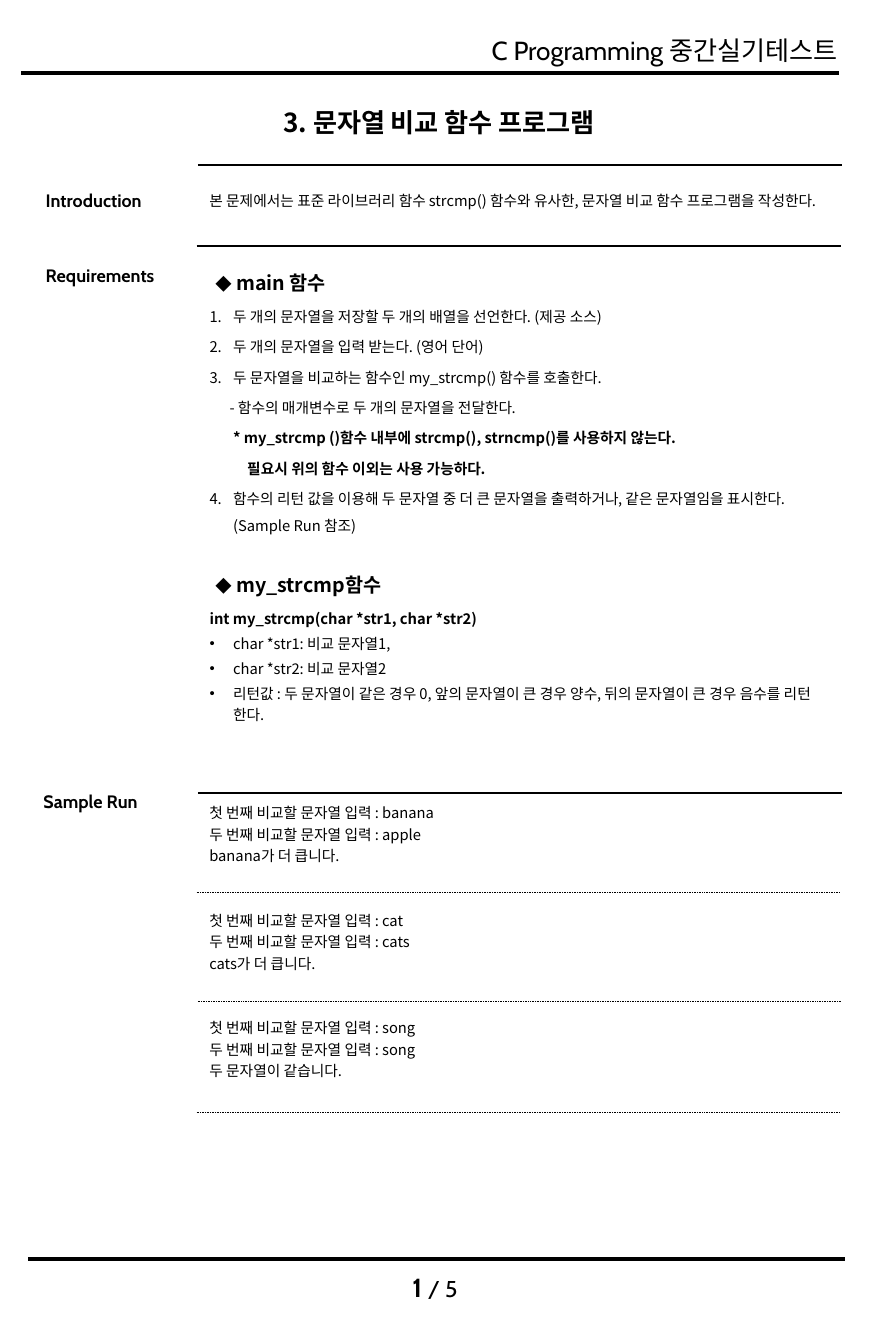
from dataclasses import dataclass

from lxml import etree
from pptx import Presentation
from pptx.dml.color import RGBColor
from pptx.enum.dml import MSO_LINE
from pptx.enum.shapes import MSO_CONNECTOR
from pptx.enum.text import MSO_ANCHOR, MSO_AUTO_SIZE, PP_ALIGN
from pptx.oxml.ns import qn
from pptx.util import Inches, Pt

LEFT, RIGHT = PP_ALIGN.LEFT, PP_ALIGN.RIGHT
CENTER, JUSTIFY = PP_ALIGN.CENTER, PP_ALIGN.JUSTIFY
STRAIGHT = MSO_CONNECTOR.STRAIGHT
SOLID, DOTTED = MSO_LINE.SOLID, MSO_LINE.ROUND_DOT


@dataclass(frozen=True)
class Theme:
    ink: RGBColor = RGBColor(0, 0, 0)
    latin: str = "Cabin"
    korean: str = "Noto Sans CJK KR"
    title: int = 16
    total: int = 14
    heading: int = 12
    label: int = 11
    diamond: int = 10
    body: int = 9
    line_height: float = 1.215


THEME = Theme()


def write(shape, place, font, paragraphs):
    """Fill a shape with (style, spans) pairs; a span is (text, size, bold)."""
    shape.left, shape.top, shape.width, shape.height = map(Inches, place)
    frame = shape.text_frame
    frame_format = {
        "word_wrap": True, "auto_size": MSO_AUTO_SIZE.NONE, "vertical_anchor": MSO_ANCHOR.TOP,
        "margin_left": Inches(0.1), "margin_right": Inches(0.1),
        "margin_top": Inches(0.05), "margin_bottom": Inches(0.05),
    }
    for name, value in frame_format.items():
        setattr(frame, name, value)
    for index, (style, spans) in enumerate(paragraphs):
        para = frame.add_paragraph() if index else frame.paragraphs[0]
        size = max(span[1] for span in spans)
        para_format = {
            "alignment": style.get("align", LEFT),
            "line_spacing": Pt(size * THEME.line_height * style.get("leading", 1)),
            "space_before": Pt(style.get("before", 0)),
            "space_after": Pt(0),
        }
        for name, value in para_format.items():
            setattr(para, name, value)

        # Indents and list marks
        properties = para._p.get_or_add_pPr()
        properties.set("marL", str(Inches(style.get("left", 0))))
        properties.set("indent", str(Inches(style.get("first", 0))))
        mark, values = style.get("mark", ("buNone", {}))
        etree.SubElement(properties, qn("a:" + mark), values)

        for text, points, bold in spans:
            span = para.add_run()
            span.text = text
            span_format = {"name": font, "size": Pt(points), "bold": bold}
            for name, value in span_format.items():
                setattr(span.font, name, value)
            span.font.color.rgb = THEME.ink
            etree.SubElement(span._r.get_or_add_rPr(), qn("a:ea"), typeface=THEME.korean)


deck = Presentation()
deck.slide_width, deck.slide_height = Inches(7.5), Inches(11.42)
page = deck.slides.add_slide(deck.slide_layouts[1])
title, body = page.placeholders

# Rules: left, top, length, weight, dash
rules = [
    (0.18, 0.62, 6.95, 2.25, SOLID),
    (0.24, 10.7, 6.94, 2.25, SOLID),
    (1.68, 1.4, 5.47, 1.5, SOLID),
    (1.67, 2.09, 5.47, 1, SOLID),
    (1.68, 6.74, 5.47, 1, SOLID),
    (1.67, 7.58, 5.47, 0.5, DOTTED),
    (1.68, 8.51, 5.47, 0.5, DOTTED),
    (1.67, 9.45, 5.47, 0.5, DOTTED),
]
for left, top, length, weight, dash in rules:
    rule = page.shapes.add_connector(
        STRAIGHT, Inches(left), Inches(top), Inches(left + length), Inches(top))
    rule.line.color.rgb = THEME.ink
    rule.line.width = Pt(weight)
    rule.line.dash_style = dash
    etree.SubElement(rule._element.spPr, qn("a:effectLst"))

# Title
write(title, (0.31, 0.85, 6.84, 0.37), THEME.korean,
      [({"align": CENTER}, [("3. 문자열 비교 함수 프로그램", THEME.title, True)])])

# Requirements
number = ("buAutoNum", {"type": "arabicPeriod"})
number_four = ("buAutoNum", {"type": "arabicPeriod", "startAt": "4"})
bullet = ("buChar", {"char": "•"})
step = {"leading": 1.5, "before": 2.2}
hanging = {"left": 0.2, "first": -0.2}
numbered = {**step, **hanging, "mark": number}
bulleted = {**hanging, "leading": 1.2, "before": 2.2, "mark": bullet}
heading = {"leading": 1.5, "left": 0.05}
diamond = ("◆", THEME.diamond, True)
requirements = [
    (heading, [diamond, (" main 함수", THEME.heading, True)]),
    (numbered, [("두 개의 문자열을 저장할 두 개의 배열을 선언한다. (제공 소스)", THEME.body, False)]),
    (numbered, [("두 개의 문자열을 입력 받는다. (영어 단어)", THEME.body, False)]),
    (numbered, [("두 문자열을 비교하는 함수인 my_strcmp() 함수를 호출한다.", THEME.body, False)]),
    ({**step, "left": 0.17}, [("- 함수의 매개변수로 두 개의 문자열을 전달한다.", THEME.body, False)]),
    ({**step, "left": 0.2},
     [("* my_strcmp ()함수 내부에 strcmp(), strncmp()를 사용하지 않는다.", THEME.body, True)]),
    ({**step, "left": 0.32}, [("필요시 위의 함수 이외는 사용 가능하다.", THEME.body, True)]),
    ({**numbered, "mark": number_four},
     [("함수의 리턴 값을 이용해 두 문자열 중 더 큰 문자열을 출력하거나, "
       "같은 문자열임을 표시한다. (Sample Run 참조)", THEME.body, False)]),
    ({**heading, "before": 16.15}, [diamond, (" my_strcmp함수", THEME.heading, True)]),
    (step, [("int my_strcmp(char *str1, char *str2)", THEME.body, True)]),
    (bulleted, [("char *str1: 비교 문자열1,", THEME.body, False)]),
    (bulleted, [("char *str2: 비교 문자열2", THEME.body, False)]),
    (bulleted,
     [("리턴값 : 두 문자열이 같은 경우 0, 앞의 문자열이 큰 경우 양수, "
       "뒤의 문자열이 큰 경우 음수를 리턴 한다.", THEME.body, False)]),
]
write(body, (1.68, 2.15, 5.46, 4.23), THEME.korean, requirements)

# Sample runs: one group of three lines for each pair of words
samples = [
    ("banana", "apple", "banana가 더 큽니다."),
    ("cat", "cats", "cats가 더 큽니다."),
    ("song", "song", "두 문자열이 같습니다."),
]
sample_lines = []
for first, second, verdict in samples:
    group_gap = 28.5 if sample_lines else 0
    lines = [
        (group_gap, f"첫 번째 비교할 문자열 입력 : {first}"),
        (2.2, f"두 번째 비교할 문자열 입력 : {second}"),
        (2.2, verdict),
    ]
    for gap, text in lines:
        sample_lines.append(({"before": gap}, [(text, THEME.body, False)]))

# Text boxes: place, font, paragraphs
boxes = [
    ((3.81, 0.24, 3.4, 0.64), THEME.latin,
     [({"align": RIGHT}, [("C Programming 중간실기테스트", THEME.title, False)])]),
    ((2.4, 10.75, 2.59, 0.36), THEME.latin,
     [({"align": CENTER}, [("1 ", THEME.title, True), ("/ 5", THEME.total, False)])]),
    ((1.68, 1.55, 5.5, 0.46), THEME.korean,
     [({"align": JUSTIFY, "leading": 1.2},
       [("본 문제에서는 표준 라이브러리 함수 strcmp() 함수와 유사한, "
         "문자열 비교 함수 프로그램을 작성한다.", THEME.body, False)])]),
    ((1.68, 6.78, 5.46, 2.61), THEME.korean, sample_lines),
]
labels = [(0.29, 1.56, "Introduction"), (0.29, 2.2, "Requirements"), (0.27, 6.67, "Sample Run")]
for left, top, text in labels:
    boxes.append(((left, top, 1.42, 0.43), THEME.latin, [({}, [(text, THEME.label, True)])]))
for place, font, paragraphs in boxes:
    box = page.shapes.add_textbox(*map(Inches, place))
    write(box, place, font, paragraphs)

deck.save("out.pptx")
